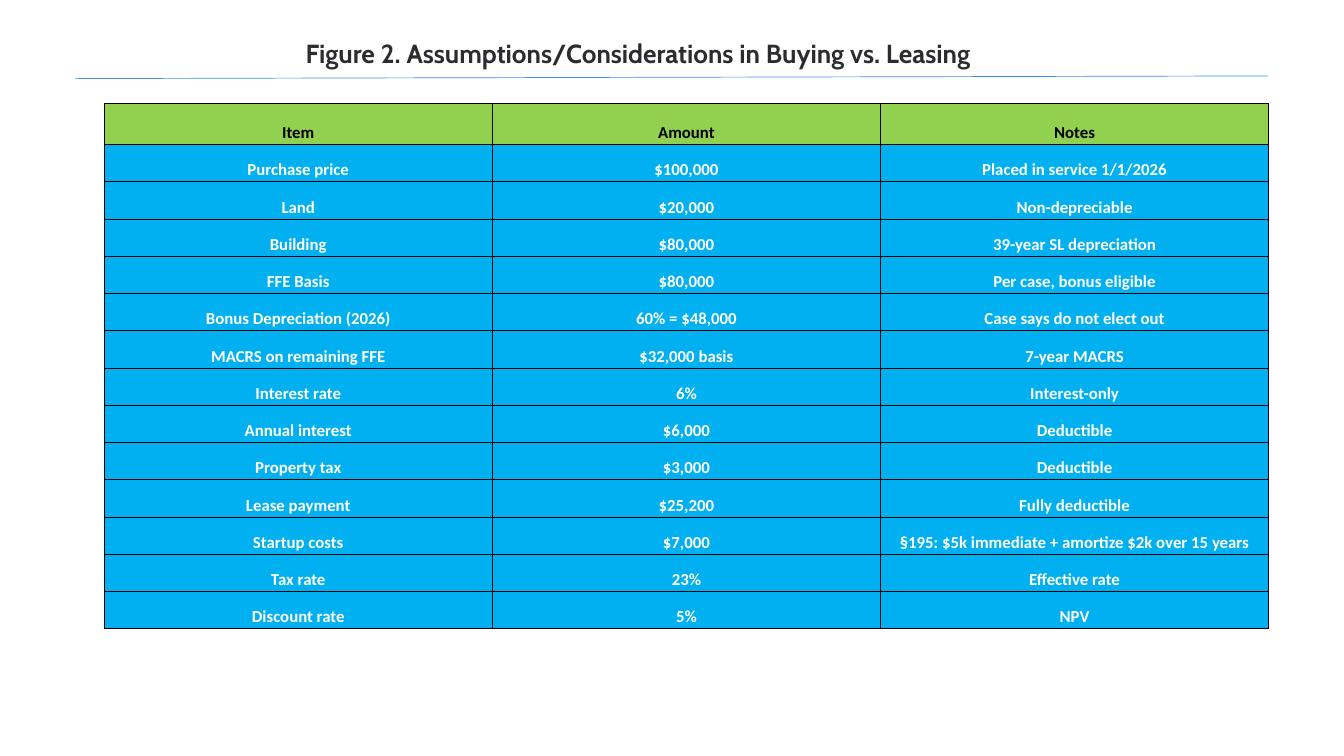
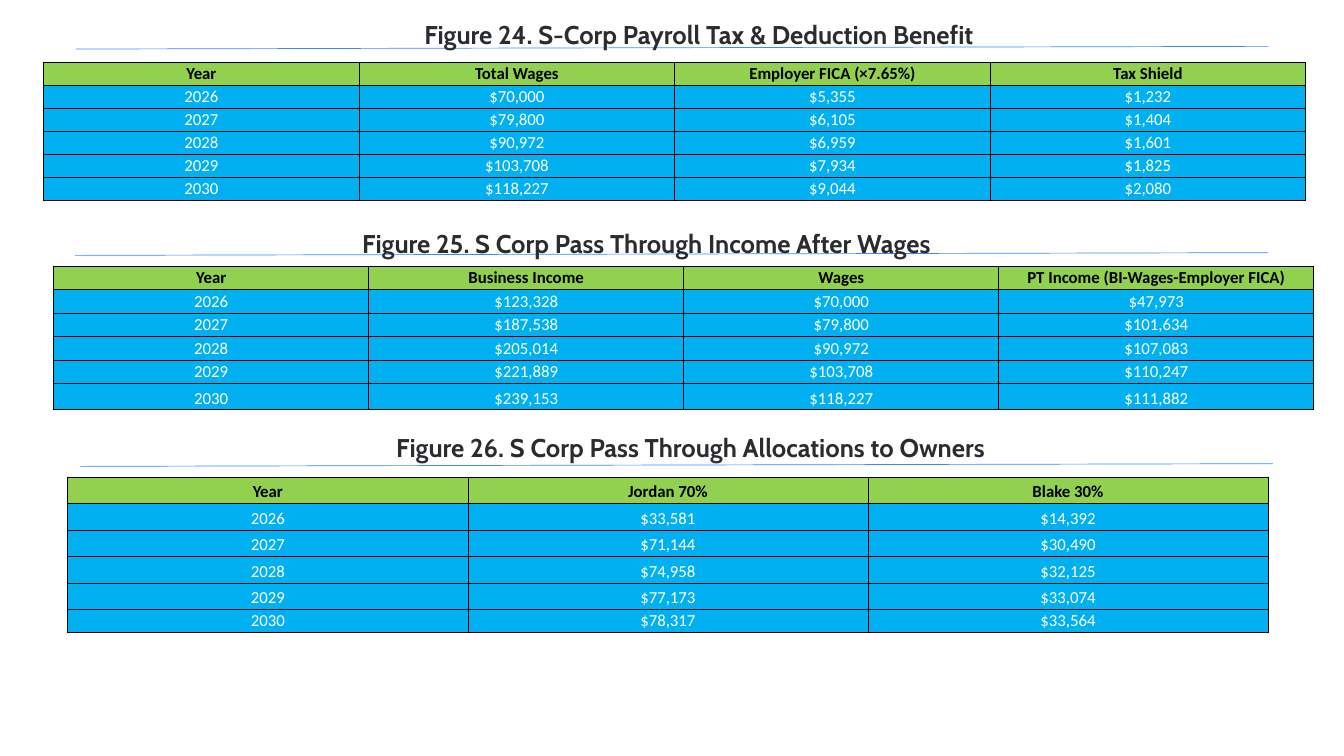
from lxml import etree
from pptx import Presentation
from pptx import util as u
from pptx.dml import color
from pptx.enum import shapes, text
from pptx.oxml import ns

COLS, ROWS = 20, 11.25
INK, RULE, HEAD, BODY = "2B2C30", "3B8CF8", "92D050", "00B0F0"
BLACK, WHITE = "000000", "FFFFFF"
YEARS = ["2026", "2027", "2028", "2029", "2030"]
WAGES = ["$70,000", "$79,800", "$90,972", "$103,708", "$118,227"]


def rgb(code):
    return color.RGBColor.from_string(code)


class Deck:
    """Holds the style and current slide; lengths are grid columns and rows."""

    def __init__(self):
        self.prs = Presentation()
        self.prs.slide_width = u.Inches(20)
        self.prs.slide_height = u.Inches(11.25)

    def slide(self):
        self.page = self.prs.slides.add_slide(self.prs.slide_layouts[6])

    def x(self, cols):
        return round(self.prs.slide_width * cols / COLS)

    def y(self, rows):
        return round(self.prs.slide_height * rows / ROWS)

    def area(self, left, top, wide, high):
        return self.x(left), self.y(top), self.x(wide), self.y(high)

    def style(self, para, face, size, ink, bold):
        para.alignment = text.PP_ALIGN.CENTER
        for run in para.runs:
            run.font.name, run.font.size = face, u.Pt(size)
            run.font.bold, run.font.color.rgb = bold, rgb(ink)

    def title(self, words, left, top, wide, size=27.5):
        frame = self.page.shapes.add_textbox(*self.area(left, top, wide, 0.5)).text_frame
        frame.margin_left = frame.margin_right = frame.margin_top = frame.margin_bottom = 0
        frame.word_wrap = True
        frame.auto_size = text.MSO_AUTO_SIZE.SHAPE_TO_FIT_TEXT
        frame.text = words
        para = frame.paragraphs[0]
        para.line_spacing = u.Pt(39.2)
        self.style(para, "Cabin", size, INK, True)

    def rule(self, left, top):
        line = self.page.shapes.add_connector(
            shapes.MSO_CONNECTOR.STRAIGHT, self.x(left), self.y(top),
            self.x(left + 17.75), self.y(top - 0.04))
        line.line.color.rgb, line.line.width = rgb(RULE), u.Pt(0.75)
        etree.SubElement(line._element.spPr, ns.qn("a:effectLst"))

    def border(self, cell):
        props = cell._tc.get_or_add_tcPr()
        for spot, side in enumerate(("lnL", "lnR", "lnT", "lnB")):
            edge = etree.Element(ns.qn("a:" + side), w=str(u.Pt(1)))
            fill = etree.SubElement(edge, ns.qn("a:solidFill"))
            etree.SubElement(fill, ns.qn("a:srgbClr"), val=BLACK)
            props.insert(spot, edge)

    def cell(self, cell, words, top, bold):
        cell.text = words
        cell.vertical_anchor = text.MSO_ANCHOR.BOTTOM
        cell.margin_left = cell.margin_right = self.x(0.03)
        cell.margin_top = cell.margin_bottom = self.y(0.02)
        cell.fill.solid()
        cell.fill.fore_color.rgb = rgb(HEAD if top else BODY)
        self.border(cell)
        self.style(cell.text_frame.paragraphs[0], "Calibri", 18,
                   BLACK if top else WHITE, top or bold)

    def table(self, data, left, top, wide, high, odd=None, bold=False):
        odd = odd or {}
        grid = self.page.shapes.add_table(
            len(data), len(data[0]), *self.area(left, top, wide, high)).table
        grid.horz_banding = False
        even = (high - sum(odd.values())) / (len(data) - len(odd))
        for r, row in enumerate(data):
            grid.rows[r].height = self.y(odd.get(r, even))
            for c, words in enumerate(row):
                self.cell(grid.cell(r, c), words, r == 0, bold)


def main():
    deck = Deck()
    deck.slide()
    deck.title("Figure 2. Assumptions/Considerations in Buying vs. Leasing",
               3.68, 0.48, 11.62, 28)
    deck.rule(1.12, 1.17)
    items = [
        ("Item", "Amount", "Notes"),
        ("Purchase price", "$100,000", "Placed in service 1/1/2026"),
        ("Land", "$20,000", "Non-depreciable"),
        ("Building", "$80,000", "39-year SL depreciation"),
        ("FFE Basis", "$80,000", "Per case, bonus eligible"),
        ("Bonus Depreciation (2026)", "60% = $48,000", "Case says do not elect out"),
        ("MACRS on remaining FFE", "$32,000 basis", "7-year MACRS"),
        ("Interest rate", "6%", "Interest-only"),
        ("Annual interest", "$6,000", "Deductible"),
        ("Property tax", "$3,000", "Deductible"),
        ("Lease payment", "$25,200", "Fully deductible"),
        ("Startup costs", "$7,000", "§195: $5k immediate + amortize $2k over 15 years"),
        ("Tax rate", "23%", "Effective rate"),
        ("Discount rate", "5%", "NPV"),
    ]
    deck.table(items, 1.55, 1.54, 17.33, 7.82, {0: 0.61}, bold=True)

    deck.slide()
    for left, top in ((1.13, 0.73), (1.12, 3.8), (1.19, 6.94)):
        deck.rule(left, top)
    deck.title("Figure 24. S-Corp Payroll Tax & Deduction Benefit", 3.18, 0.2, 14.44)
    deck.title("Figure 25. S Corp Pass Through Income After Wages", 3.81, 3.3, 11.62)
    deck.title("Figure 26. S Corp Pass Through Allocations to Owners", 1.92, 6.34, 16.71)

    fica = ["$5,355", "$6,105", "$6,959", "$7,934", "$9,044"]
    shield = ["$1,232", "$1,404", "$1,601", "$1,825", "$2,080"]
    payroll = [("Year", "Total Wages", "Employer FICA (×7.65%)", "Tax Shield"),
               *zip(YEARS, WAGES, fica, shield)]
    deck.table(payroll, 0.65, 0.93, 18.78, 2.05)

    gross = ["$123,328", "$187,538", "$205,014", "$221,889", "$239,153"]
    net = ["$47,973", "$101,634", "$107,083", "$110,247", "$111,882"]
    income = [("Year", "Business Income", "Wages", "PT Income (BI-Wages-Employer FICA)"),
              *zip(YEARS, gross, WAGES, net)]
    deck.table(income, 0.8, 3.96, 18.75, 2.14, {5: 0.39})

    jordan = ["$33,581", "$71,144", "$74,958", "$77,173", "$78,317"]
    blake = ["$14,392", "$30,490", "$32,125", "$33,074", "$33,564"]
    shares = [("Year", "Jordan 70%", "Blake 30%"), *zip(YEARS, jordan, blake)]
    deck.table(shares, 1.01, 7.1, 17.86, 2.31, {5: 0.34})
    deck.prs.save("out.pptx")


if __name__ == "__main__":
    main()
